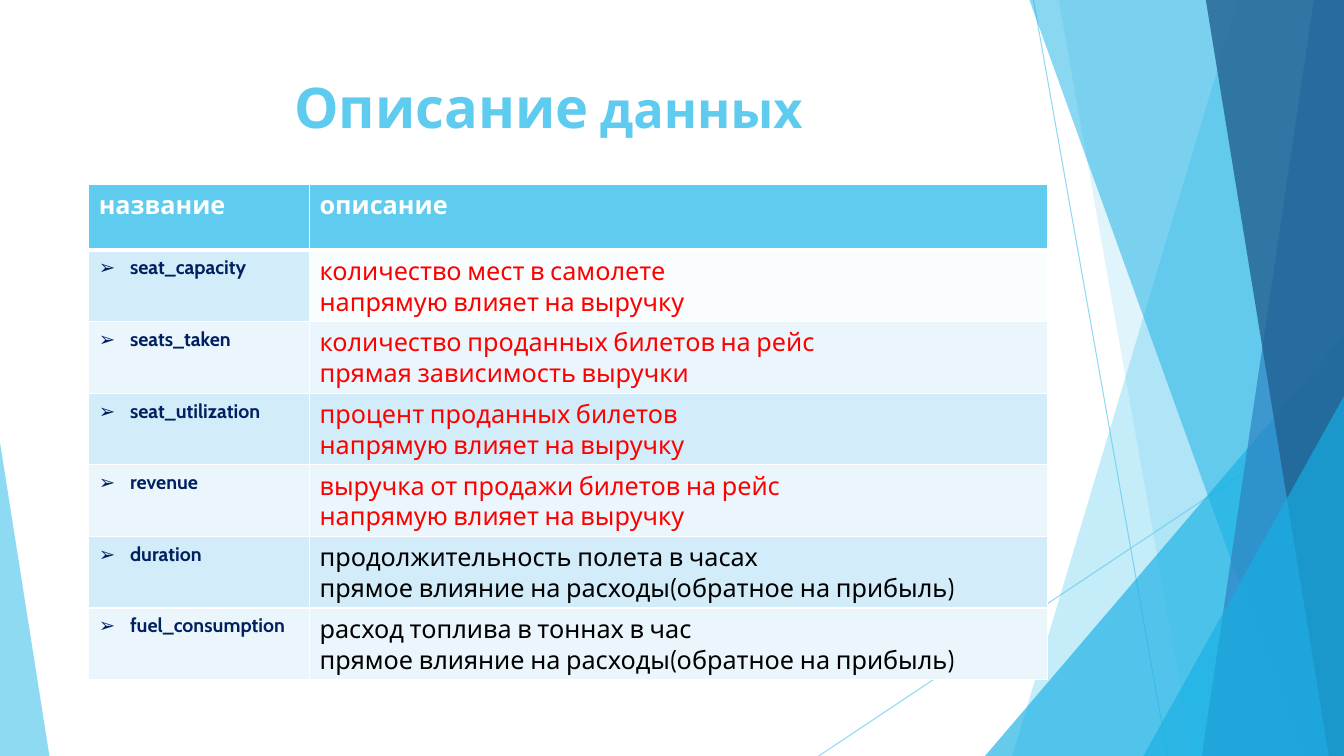
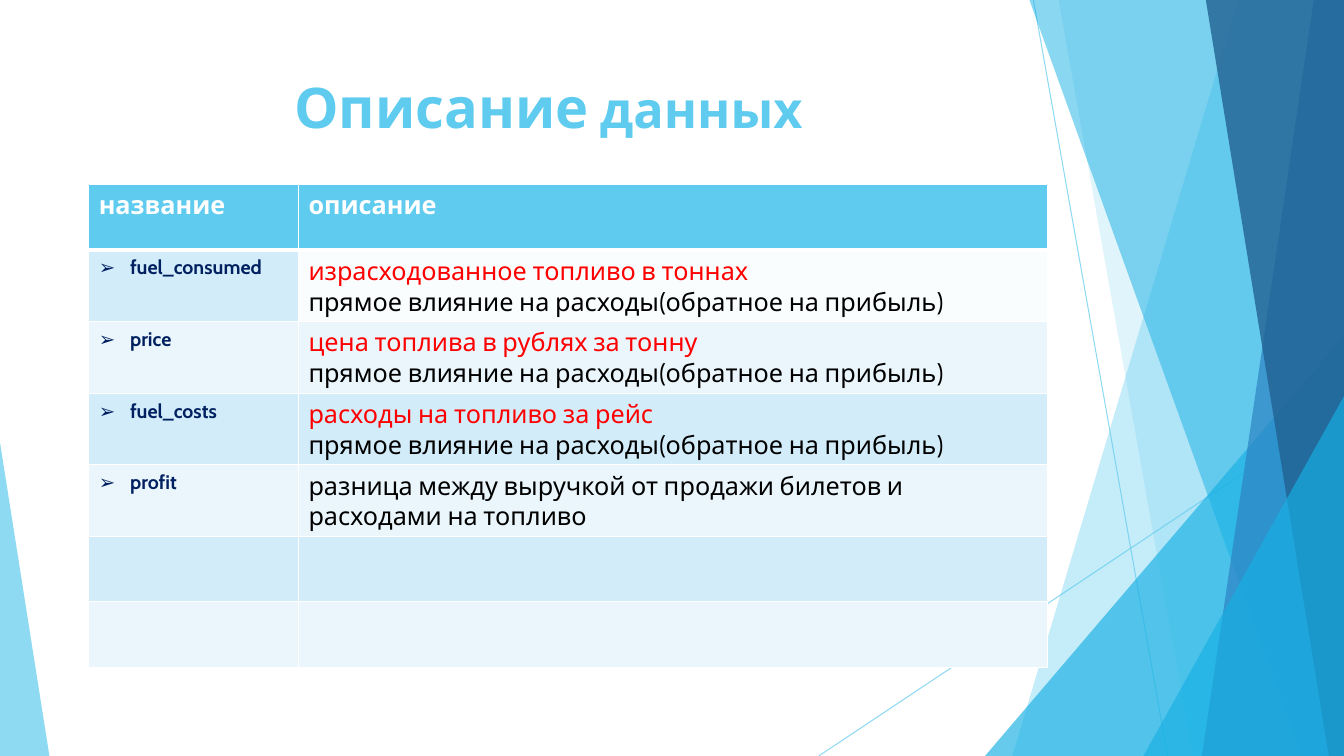
import pptx
import pptx.dml.color
import pptx.enum.shapes
import pptx.enum.text
import pptx.oxml
import pptx.oxml.ns
import pptx.util

Inches = pptx.util.Inches
Pt = pptx.util.Pt
XMLNS = pptx.oxml.ns.nsdecls("a")
FONT = "Cabin"
WIDE, HIGH = 13.33, 7.5
ROWS, SPAN, STEP, INDENT = 7, 9.51, 0.65, 0.31
TINT = {
    "sky": "5FCBEF", "cyan": "17B0E4", "blue": "2E83C3", "deep": "226292",
    "navy": "002060", "red": "FF0000", "black": "000000", "white": "FFFFFF",
    "odd": "D2ECF9", "even": "EAF6FC",
}
LINES = [(10.25, 0, 11.58, HIGH), (WIDE, 4.03, 8.12, HIGH)]
DECOR = [
    ("band", (12.28, 10.04), "sky", 36),
    ("band", (10.5, 11.83), "sky", 20),
    ("peak", (9.77, 3.33, 3.56, 1), "cyan", 66),
    ("band", (10.21, 12.91), "cyan", 50),
    ("band", (13.03, 11.92), "blue", 70),
    ("band", (11.96, 13.18), "deep", 80),
    ("peak", (11.34, 3.93, 1.99, 1), "cyan", 66),
    ("peak", (0, 4.39, 0.49, 0), "sky", 70),
]
HEADS = ["название", "описание"]
GAIN = "напрямую влияет на выручку"
COST = "прямое влияние на расходы(обратное на прибыль)"
PAGES = [
    (2.19, [
        ("seat_capacity", [("количество мест в самолете", "red"), (GAIN, "red")]),
        ("seats_taken", [("количество проданных билетов на рейс", "red"),
                         ("прямая зависимость выручки", "red")]),
        ("seat_utilization", [("процент проданных билетов", "red"), (GAIN, "red")]),
        ("revenue", [("выручка от продажи билетов на рейс", "red"), (GAIN, "red")]),
        ("duration", [("продолжительность полета в часах", "black"), (COST, "black")]),
        ("fuel_consumption", [("расход топлива в тоннах в час", "black"), (COST, "black")]),
    ]),
    (2.08, [
        ("fuel_consumed", [("израсходованное топливо в тоннах", "red"), (COST, "black")]),
        ("price", [("цена топлива в рублях за тонну", "red"), (COST, "black")]),
        ("fuel_costs", [("расходы на топливо за рейс", "red"), (COST, "black")]),
        ("profit", [("разница между выручкой от продажи билетов и расходами на топливо",
                     "black")]),
    ]),
]


def paint(node, fill, tint, alpha=100):
    fill.solid()
    fill.fore_color.rgb = pptx.dml.color.RGBColor.from_string(TINT[tint])
    if alpha < 100:
        color = list(node.iter(pptx.oxml.ns.qn("a:srgbClr")))[-1]
        color.append(pptx.oxml.parse_xml(f'<a:alpha {XMLNS} val="{alpha * 1000}"/>'))


def write(para, text, size=18, tint="black", bold=False):
    run = para.add_run()
    run.text = text
    run.font.name = FONT
    run.font.size = Pt(size)
    run.font.bold = bold
    run.font.color.rgb = pptx.dml.color.RGBColor.from_string(TINT[tint])


deck = pptx.Presentation()
deck.slide_width = Inches(WIDE)
deck.slide_height = Inches(HIGH)

for split, items in PAGES:
    shapes = deck.slides.add_slide(deck.slide_layouts[6]).shapes

    for ends in LINES:
        line = shapes.add_connector(
            pptx.enum.shapes.MSO_CONNECTOR.STRAIGHT, *[Inches(end) for end in ends])
        line.line.width = Pt(0.75)
        paint(line.element, line.line.fill, "sky", 70)
        line.element.spPr.append(pptx.oxml.parse_xml(f"<a:effectLst {XMLNS}/>"))

    for kind, place, tint, alpha in DECOR:
        if kind == "band":
            top, base = place
            form = shapes.build_freeform(Inches(top), 0)
            form.add_line_segments([
                (Inches(x), Inches(y))
                for x, y in [(WIDE, 0), (WIDE, HIGH), (base, HIGH)]])
            shape = form.convert_to_shape()
        else:
            left, top, width, tip = place
            shape = shapes.add_shape(
                pptx.enum.shapes.MSO_SHAPE.ISOSCELES_TRIANGLE,
                Inches(left), Inches(top), Inches(width), Inches(HIGH - top))
            shape.adjustments[0] = tip
        shape.shadow.inherit = False
        shape.line.fill.background()
        paint(shape.element, shape.fill, tint, alpha)

    title = shapes.add_textbox(Inches(0.74), Inches(0.67), Inches(9.4), Inches(0.98))
    title.text_frame.word_wrap = True
    para = title.text_frame.paragraphs[0]
    para.alignment = pptx.enum.text.PP_ALIGN.CENTER
    write(para, "Описание", size=40, tint="sky", bold=True)
    write(para, " данных", size=36, tint="sky", bold=True)

    table = shapes.add_table(ROWS, len(HEADS), Inches(0.88), Inches(1.83),
                             Inches(SPAN), Inches(STEP * ROWS)).table
    table.columns[0].width = Inches(split)
    table.columns[1].width = Inches(SPAN - split)

    for row in range(ROWS):
        if row == 0:
            tint = "sky"
        else:
            tint = "odd" if row % 2 else "even"
        edges = {"L": 1, "R": 1, "T": 3 if row == 1 else 1, "B": 3 if row == 0 else 1}
        for col in range(len(HEADS)):
            cell = table.cell(row, col)
            cell.margin_top = Inches(0.06)
            props = cell._tc.get_or_add_tcPr()
            for side, width in edges.items():
                props.append(pptx.oxml.parse_xml(
                    f'<a:ln{side} {XMLNS} w="{Pt(width)}"><a:solidFill>'
                    f'<a:srgbClr val="{TINT["white"]}"/></a:solidFill></a:ln{side}>'))
            alpha = 9 if (row, col) == (1, 1) else 100
            paint(props, cell.fill, tint, alpha)

    for col, head in enumerate(HEADS):
        write(table.cell(0, col).text_frame.paragraphs[0], head, tint="white", bold=True)

    for row, (name, notes) in enumerate(items, 1):
        para = table.cell(row, 0).text_frame.paragraphs[0]
        props = para._p.get_or_add_pPr()
        props.set("marL", str(Inches(INDENT)))
        props.set("indent", str(-Inches(INDENT)))
        props.append(pptx.oxml.parse_xml(f'<a:buFont {XMLNS} typeface="{FONT}"/>'))
        props.append(pptx.oxml.parse_xml(f'<a:buChar {XMLNS} char="➢"/>'))
        write(para, name, size=14, tint="navy", bold=True)

        frame = table.cell(row, 1).text_frame
        for spot, (note, tint) in enumerate(notes):
            para = frame.add_paragraph() if spot else frame.paragraphs[0]
            write(para, note, tint=tint)

deck.save("out.pptx")
